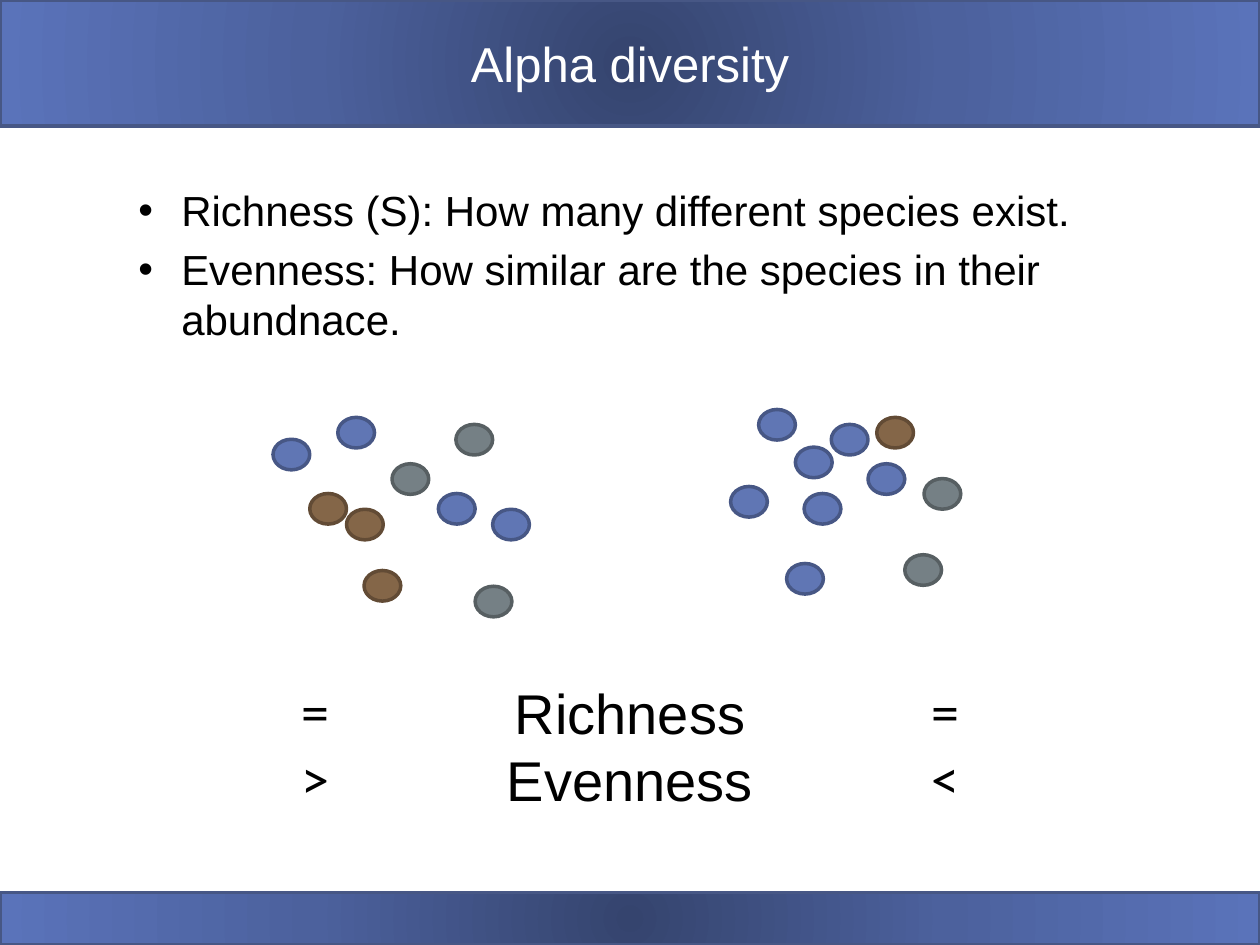
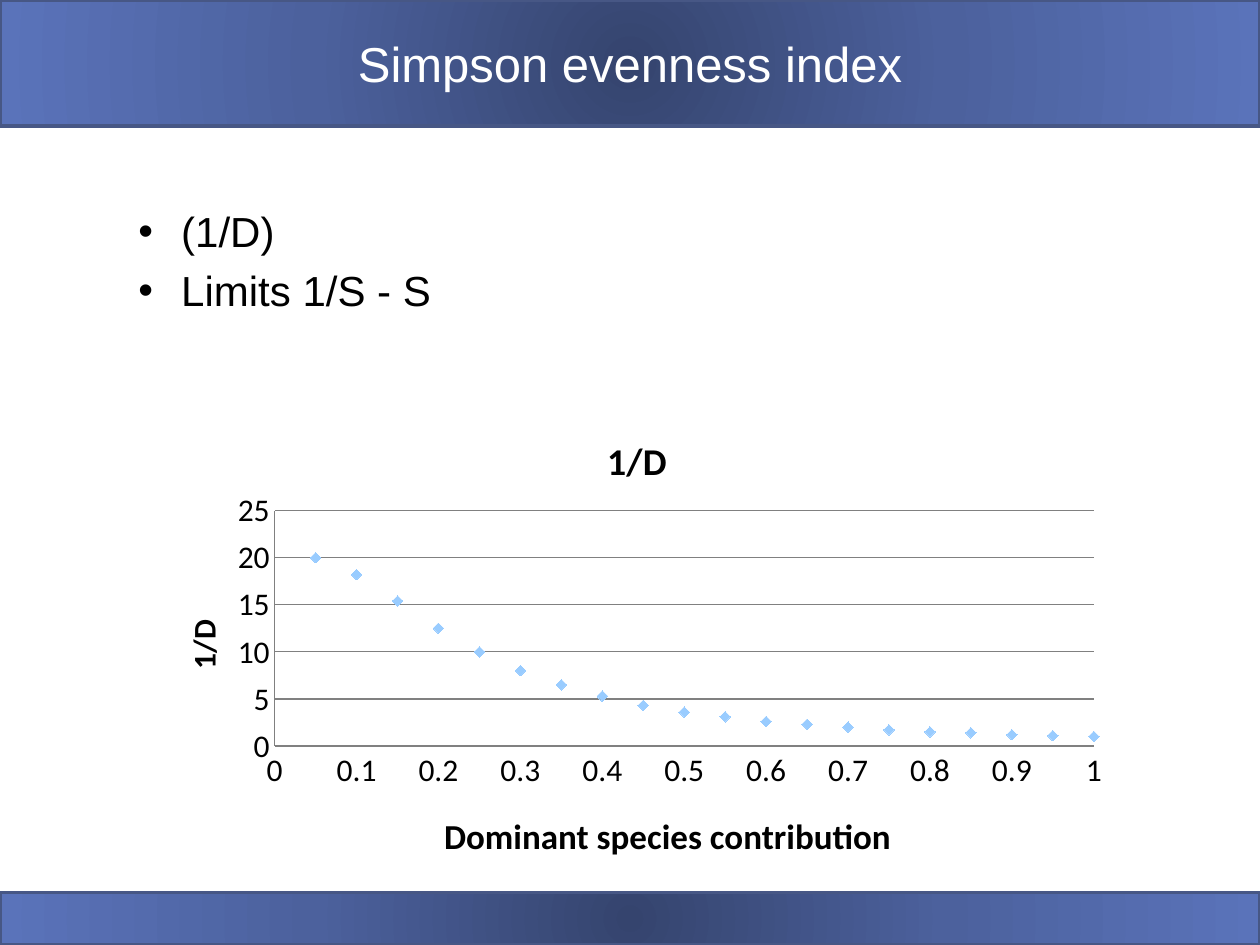
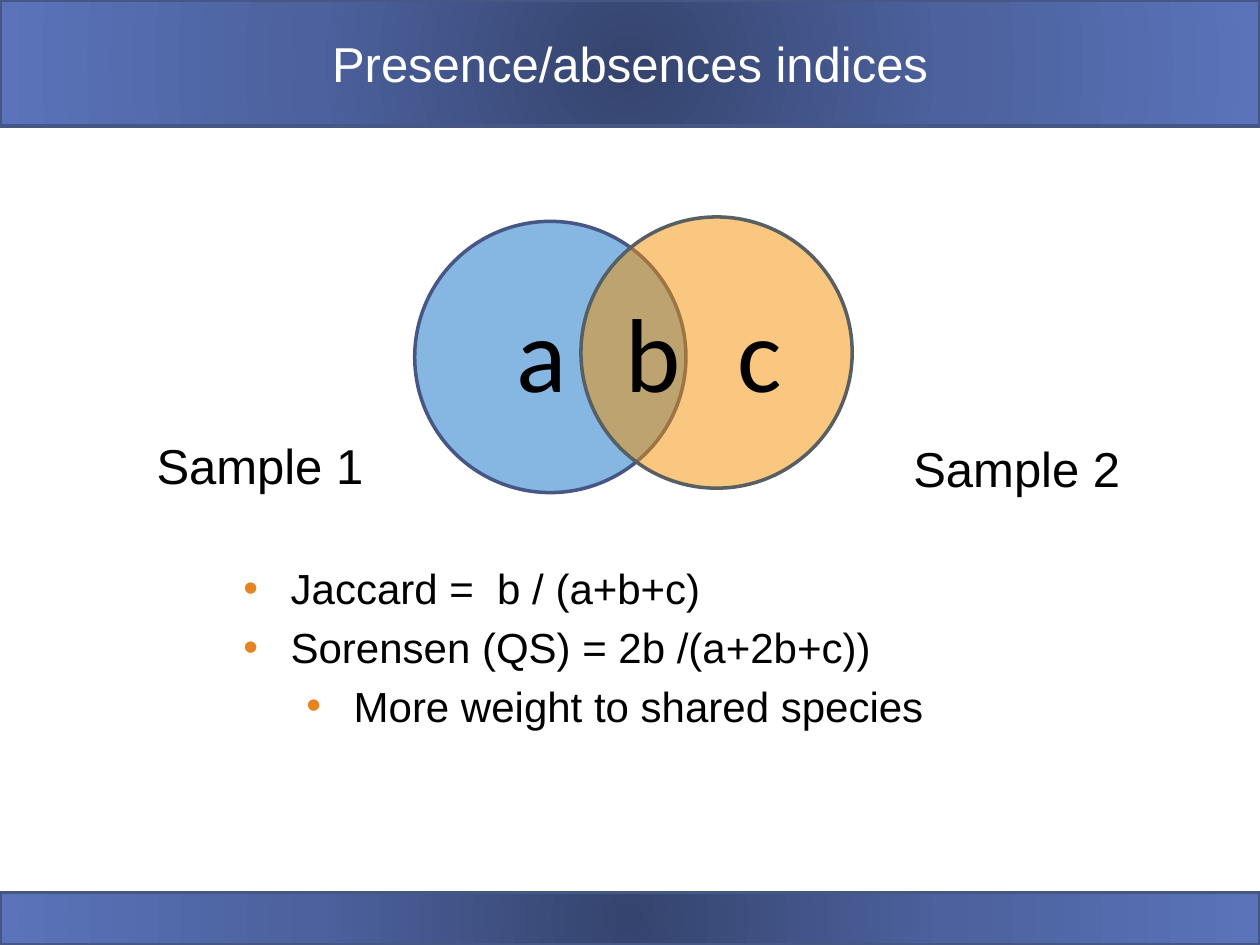
from pptx import Presentation
from pptx import util as u
from pptx.chart import data
from pptx.dml.color import RGBColor
from pptx.enum import chart as charts, shapes, text
from pptx.oxml import parse_xml, ns


class Theme:
    white, black = "FFFFFF", "000000"
    edge = "475785"
    glow = {0: "35446E", 50: "4C619D", 100: "5A73BA"}
    blue, gray, brown = ("6076B4", edge), ("758085", "575F62"), ("846648", "624B35")
    left, right = ("0F6FC6", edge), ("F49100", "575F62")
    mark, grid, accent = "99CCFF", "808080", "E68422"
    title = {"size": u.Pt(28), "name": "Arial", "color": white}
    body = {"size": u.Pt(24), "name": "Arial", "color": black}
    large = {"size": u.Pt(32), "name": "Arial", "color": black}
    label = {"size": u.Pt(28), "name": "Arial", "color": black}
    sign = {"size": u.Pt(32), "name": "Calibri", "color": black}
    letter = {"size": u.Pt(60), "name": "Calibri", "color": black}
    foot = {"size": u.Pt(20), "name": "Calibri", "color": black, "bold": True}
    axis = {"size": u.Pt(18), "name": "Calibri"}
    head = {"size": u.Pt(21.6), "name": "Calibri", "bold": True}
    side = {"size": u.Pt(18), "name": "Calibri", "bold": True}


def draw(home, kind, box, paint):
    shape = home.add_shape(kind, *map(u.Pt, box))
    shape.shadow.inherit = False
    shape.fill.solid()
    shape.fill.fore_color.rgb = RGBColor.from_string(paint[0])
    shape.line.color.rgb = RGBColor.from_string(paint[1])
    shape.line.width = u.Pt(2)
    return shape


def write(slide, box, lines, style, align="CENTER", wrap=True, dent=None, tint=None):
    frame = slide.shapes.add_textbox(*map(u.Pt, box)).text_frame
    frame.word_wrap = wrap
    for spot, line in enumerate(lines):
        para = frame.paragraphs[0] if spot == 0 else frame.add_paragraph()
        level, words = line if isinstance(line, tuple) else (0, line)
        para.alignment = getattr(text.PP_ALIGN, align)
        para.level = level
        run = para.add_run()
        run.text = words
        for key, val in style.items():
            if key == "color":
                run.font.color.rgb = RGBColor.from_string(val)
            else:
                setattr(run.font, key, val)
        if dent:
            para.space_before = u.Pt(4.8)
            prop = para._p.get_or_add_pPr()
            prop.set("marL", str(u.Pt(dent + 36 * level)))
            prop.set("indent", str(-u.Pt(dent)))
            space = ns.nsdecls("a")
            for part in (
                f'<a:buClr {space}><a:srgbClr val="{tint or Theme.black}"/></a:buClr>',
                f'<a:buFont {space} typeface="Arial"/>',
                f'<a:buChar {space} char="•"/>',
            ):
                prop.append(parse_xml(part))
    return frame


deck = Presentation()
deck.slide_width, deck.slide_height = u.Pt(720), u.Pt(540)
oval = shapes.MSO_SHAPE.OVAL
stops = "".join(
    f'<a:gs pos="{spot * 1000}"><a:srgbClr val="{tone}"/></a:gs>'
    for spot, tone in Theme.glow.items()
)
sheets = []
for title in ("Alpha diversity", "Simpson evenness index", "Presence/absences indices"):
    slide = deck.slides.add_slide(deck.slide_layouts[6])
    for top, high in ((0, 72), (510, 30)):
        band = draw(slide.shapes, shapes.MSO_SHAPE.RECTANGLE, (0, top, 720, high), (Theme.white, Theme.edge))
        prop = band.element.spPr
        prop.replace(prop.find(ns.qn("a:solidFill")), parse_xml(
            f'<a:gradFill {ns.nsdecls("a")} rotWithShape="1"><a:gsLst>{stops}</a:gsLst>'
            '<a:path path="circle"><a:fillToRect l="50000" t="50000" r="50000" b="50000"/>'
            '</a:path></a:gradFill>'))
    frame = write(slide, (72, 0, 576, 72), [title], Theme.title)
    frame.vertical_anchor = text.MSO_ANCHOR.MIDDLE
    sheets.append(slide)
alpha, simpson, venn = sheets

write(alpha, (72, 102, 564, 102), [
    "Richness (S): How many different species exist.",
    "Evenness: How similar are the species in their abundnace.",
], Theme.body, "LEFT", dent=24.5)
write(alpha, (222, 384, 276, 85), ["Richness", "Evenness"], Theme.large)
samples = (
    ((Theme.blue, ((193, 238.5), (250.5, 282), (281.5, 291), (156, 251))),
     (Theme.gray, ((224, 265), (271.5, 335), (260.5, 242.5))),
     (Theme.brown, ((208, 326), (177, 282), (198, 291)))),
    ((Theme.blue, ((433.5, 234), (496, 265), (459.5, 282), (449.5, 322),
                   (417.5, 278), (454.5, 255.5), (475, 242.5))),
     (Theme.gray, ((517, 317), (528, 273.5))),
     (Theme.brown, ((501, 238.5),))),
)
for sample in samples:
    group = alpha.shapes.add_group_shape()
    for paint, spots in sample:
        for left, top in spots:
            draw(group.shapes, oval, (left, top, 21, 17.5), paint)
for left, wide, sign in ((498, 84, "<"), (135, 90, ">")):
    write(alpha, (left, 383, wide, 85), ["=", sign], Theme.sign)

write(simpson, (72, 114, 582, 348), ["(1/D)", "Limits 1/S - S"], Theme.body, "LEFT", dent=24.5)
values = (20, 18.2, 15.4, 12.5, 10, 8, 6.5, 5.3, 4.3, 3.6,
          3.1, 2.6, 2.3, 2, 1.7, 1.5, 1.4, 1.2, 1.1, 1)
source = data.XyChartData()
series = source.add_series("Series 1")
for step, value in enumerate(values, 1):
    series.add_data_point(step / 20, value)
chart = simpson.shapes.add_chart(
    charts.XL_CHART_TYPE.XY_SCATTER, *map(u.Pt, (78, 228, 564, 228)), source).chart
chart.has_legend = False
chart.font.color.rgb = RGBColor.from_string(Theme.black)
for key, val in Theme.axis.items():
    setattr(chart.font, key, val)
plot = chart.plots[0]
plot.vary_by_categories = False
dots = plot.series[0]
dots.format.line.fill.background()
dots.marker.style = charts.XL_MARKER_STYLE.DIAMOND
dots.marker.size = 6
dots.marker.format.fill.solid()
dots.marker.format.fill.fore_color.rgb = RGBColor.from_string(Theme.mark)
dots.marker.format.line.fill.background()
for axis, top, unit, grid in ((chart.category_axis, 1, 0.1, False), (chart.value_axis, 25, 5, True)):
    form = {"minimum_scale": 0, "maximum_scale": top, "major_unit": unit,
            "has_major_gridlines": grid,
            "major_tick_mark": charts.XL_TICK_MARK.NONE,
            "minor_tick_mark": charts.XL_TICK_MARK.NONE}
    for key, val in form.items():
        setattr(axis, key, val)
    axis.tick_labels.number_format = "General"
    axis.tick_labels.number_format_is_linked = False
    for rule in (axis, axis.major_gridlines) if grid else (axis,):
        rule.format.line.color.rgb = RGBColor.from_string(Theme.grid)
        rule.format.line.width = u.Pt(0.75)
for name, style in ((chart.chart_title, Theme.head), (chart.value_axis.axis_title, Theme.side)):
    name.text_frame.text = "1/D"
    for key, val in style.items():
        setattr(name.text_frame.paragraphs[0].runs[0].font, key, val)
area = chart.element.find(".//" + ns.qn("c:plotArea"))
for node, place in (
    (area, {"x": 0.14, "y": 0.28, "w": 0.83, "h": 0.59}),
    (chart.chart_title.element, {"x": 0.47, "y": 0.07}),
    (chart.value_axis.axis_title.element, {"x": 0.04, "y": 0.54}),
):
    old = node.find(ns.qn("c:layout"))
    if old is not None:
        node.remove(old)
    inner = '<c:layoutTarget val="inner"/>' if node is area else ""
    modes = "".join(f'<c:{key}Mode val="edge"/>' for key in "xy")
    sides = "".join(f'<c:{key} val="{val}"/>' for key, val in place.items())
    node.insert(0 if node.find(ns.qn("c:tx")) is None else 1, parse_xml(
        f'<c:layout {ns.nsdecls("c")}><c:manualLayout>{inner}{modes}{sides}</c:manualLayout></c:layout>'))
write(simpson, (245.5, 462, 272, 31.5), ["Dominant species contribution"], Theme.foot, wrap=False)

group = venn.shapes.add_group_shape()
for left, top, paint in ((237, 126.5, Theme.left), (332, 124, Theme.right)):
    disc = draw(group.shapes, oval, (left, top, 155, 155), paint)
    tone = disc.element.spPr.find(ns.qn("a:solidFill"))[0]
    tone.append(parse_xml(f'<a:alpha {ns.nsdecls("a")} val="50000"/>'))
for left, top, words in ((81.5, 245.5, "Sample 1"), (514, 247, "Sample 2")):
    write(venn, (left, top, 134, 41), [words], Theme.label, wrap=False)
for left, wide, mark in ((288, 44, "a"), (350.5, 46, "b"), (414.5, 40.5, "c")):
    write(venn, (left, 161, wide, 80), [mark], Theme.letter, "LEFT", wrap=False)
write(venn, (132, 318, 606, 106), [
    "Jaccard =  b / (a+b+c)",
    "Sorensen (QS) = 2b /(a+2b+c))",
    (1, "More weight to shared species"),
], Theme.body, "LEFT", dent=27, tint=Theme.accent)

deck.save("out.pptx")
